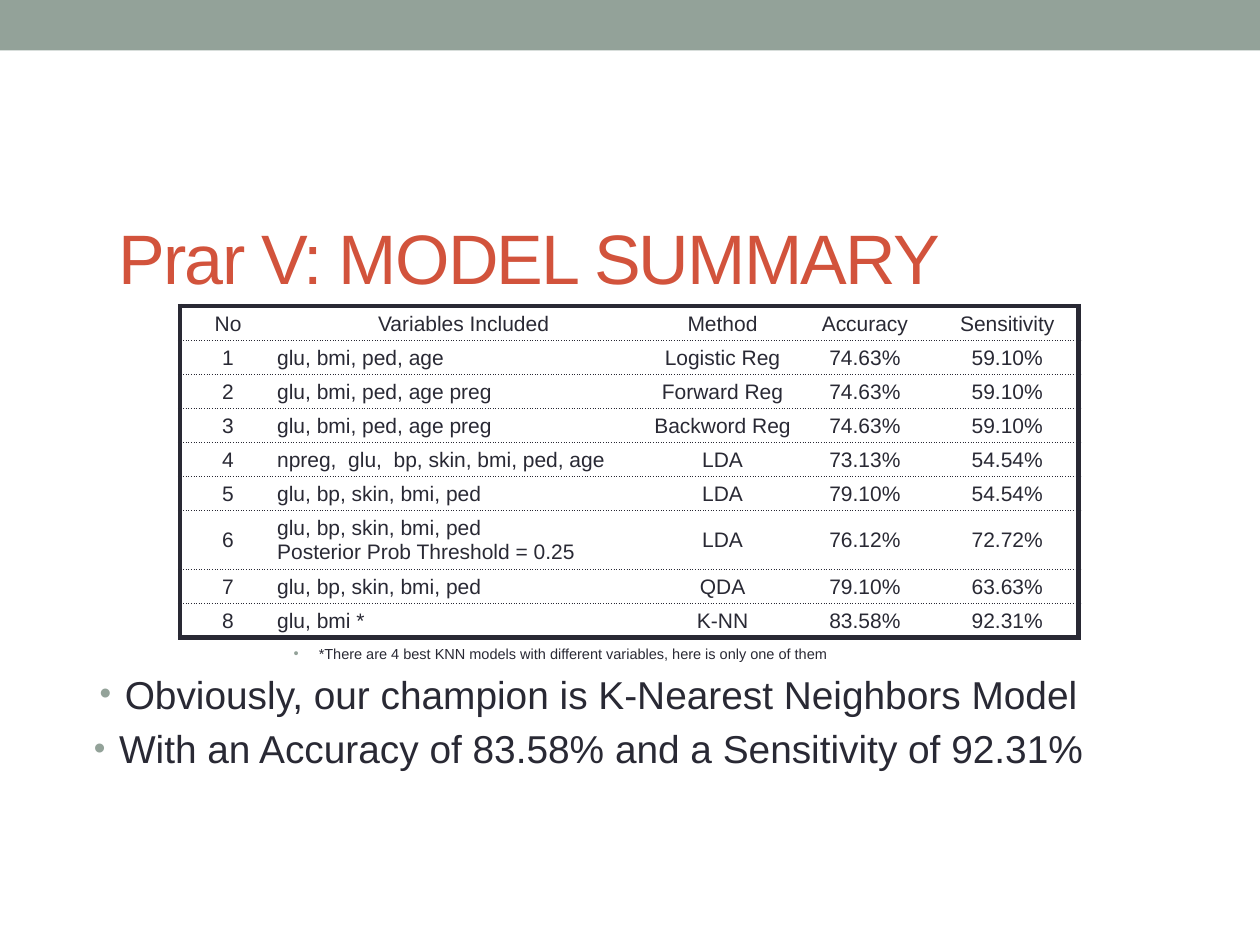
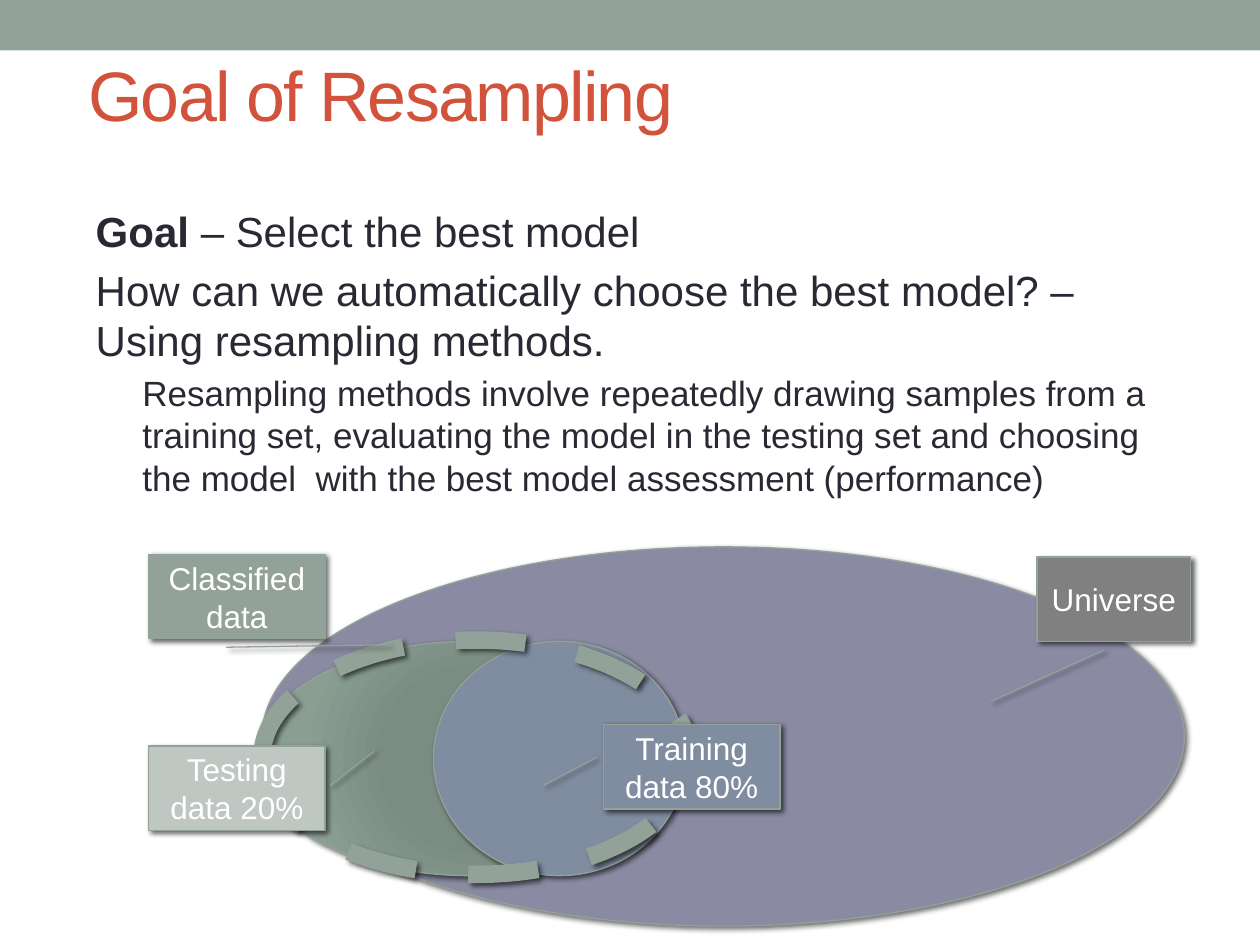
from lxml import etree
from pptx import Presentation
from pptx.dml.color import RGBColor
from pptx.enum.dml import MSO_LINE
from pptx.enum.shapes import MSO_SHAPE
from pptx.enum.text import MSO_ANCHOR, MSO_AUTO_SIZE, PP_ALIGN
from pptx.oxml import parse_xml
from pptx.oxml.ns import nsdecls, qn
from pptx.util import Emu, Pt

PX = 9144  # 100 px to the inch
SLIDE_SIZE = (1000, 750)
FONT = "Arial"

SAGE = RGBColor(0x93, 0xA2, 0x99)
PALE_SAGE = RGBColor(0xBE, 0xC7, 0xC2)
RED = RGBColor(0xD2, 0x53, 0x3C)
INK = RGBColor(0x29, 0x29, 0x34)
MAUVE = RGBColor(0x8A, 0x8A, 0xA3)
BLUE = RGBColor(0x80, 0x8D, 0xA0)
GREY = RGBColor(0x80, 0x80, 0x80)
WHITE = RGBColor(0xFF, 0xFF, 0xFF)

LEFT, CENTER = PP_ALIGN.LEFT, PP_ALIGN.CENTER
MIDDLE = MSO_ANCHOR.MIDDLE
RECTANGLE, OVAL = MSO_SHAPE.RECTANGLE, MSO_SHAPE.OVAL
CALLOUT = MSO_SHAPE.LINE_CALLOUT_1
DASH = MSO_LINE.DASH
NO_TABLE_STYLE = "{2D5ABB26-0587-4C30-8999-92F81FD0307C}"

MODELS = [
    ("No", "Variables Included", "Method", "Accuracy", "Sensitivity"),
    ("1", "glu, bmi, ped, age", "Logistic Reg", "74.63%", "59.10%"),
    ("2", "glu, bmi, ped, age preg", "Forward Reg", "74.63%", "59.10%"),
    ("3", "glu, bmi, ped, age preg", "Backword Reg", "74.63%", "59.10%"),
    ("4", "npreg,  glu,  bp, skin, bmi, ped, age", "LDA", "73.13%", "54.54%"),
    ("5", "glu, bp, skin, bmi, ped", "LDA", "79.10%", "54.54%"),
    ("6", "glu, bp, skin, bmi, ped\vPosterior Prob Threshold = 0.25",
     "LDA", "76.12%", "72.72%"),
    ("7", "glu, bp, skin, bmi, ped", "QDA", "79.10%", "63.63%"),
    ("8", "glu, bmi *", "K-NN", "83.58%", "92.31%"),
]
COLUMN_WIDTHS = (76, 298, 113, 113, 113)
ROW_HEIGHT, TALL_ROW_HEIGHT = 27, 47

# Runs are (text, bold); indents are (left margin, first line) in px
CONCLUSIONS = [
    dict(runs=[("*There are 4 best KNN models with different variables, "
                "here is only one of them", False)],
         size=8.3, level=7, indent=(190, -20), bullet=100),
    dict(runs=[("Obviously, our champion is K-Nearest Neighbors Model", False)],
         size=22.2, indent=(20, -20), bullet=85, align=CENTER),
    dict(runs=[("With an Accuracy of 83.58% and a Sensitivity of 92.31%", False)],
         size=22.2, indent=(20, -20), bullet=85, align=CENTER),
]
GOALS = [
    dict(runs=[("Goal ", True), ("– Select the best model", False)], size=24),
    dict(runs=[("How can we automatically choose the best model? – "
                "Using resampling methods.", False)], size=24),
    dict(runs=[("Resampling methods involve repeatedly drawing samples from a "
                "training set, evaluating the model in the testing set and "
                "choosing the model  with the best model assessment "
                "(performance)", False)],
         size=20, level=1, indent=(37, 0)),
]

CLASSIFIED_STOPS = [(0, "7B8E82"), (34, "7B8D83"), (70, "8A9E92"), (100, "93A299")]
# box, fill (a colour, gradient stops or None), line width, dash
SETS = [
    ((208, 434, 732, 301), MAUVE, 0.75, None),
    ((203, 509, 340, 186), CLASSIFIED_STOPS, 0.75, None),
    ((344, 509, 200, 186), BLUE, 0.75, None),
    ((208, 508, 340, 186), None, 10, DASH),
]
# text, box, fill, pointer ends as (y, x, y, x) shares of the box
LABELS = [
    ("Universe", (823, 442, 122, 67), GREY, (1.1, 0.44, 1.71, -0.3)),
    ("Classified data", (118, 440, 140, 67), SAGE, (1.1, 0.44, 1.07, 1.37)),
    ("Training data 80%", (479, 575, 140, 67), BLUE, (0.39, -0.04, 0.72, -0.34)),
    ("Testing data 20%", (118, 592, 140, 67), PALE_SAGE, (0.47, 1.03, 0.06, 1.28)),
]


def px(*lengths):
    return [Emu(length * PX) for length in lengths]


def set_font(paragraph, size, color):
    font = paragraph.font
    font.name, font.size, font.color.rgb = FONT, Pt(size), color


def place(shape, box):
    shape.left, shape.top, shape.width, shape.height = px(*box)


def add_band_to_master(presentation, slide):
    """Draw the top band and move it behind everything on the master."""
    band = slide.shapes.add_shape(RECTANGLE, *px(0, 0, SLIDE_SIZE[0], 40))
    band.shadow.inherit = False
    band.fill.solid()
    band.fill.fore_color.rgb = SAGE
    band.line.fill.background()
    presentation.slide_master.shapes.element.insert(2, band.element)


def set_title(slide, text, box):
    title = slide.shapes.title
    place(title, box)
    frame = title.text_frame
    frame.text = text
    frame.auto_size = MSO_AUTO_SIZE.NONE
    frame.vertical_anchor = MIDDLE
    paragraph = frame.paragraphs[0]
    paragraph.alignment = LEFT
    set_font(paragraph, 40, RED)
    paragraph.runs[0].font._element.set("spc", "-100")


def set_bullet(paragraph, indent, percent):
    properties = paragraph._p.get_or_add_pPr()
    properties.set("marL", str(indent[0] * PX))
    properties.set("indent", str(indent[1] * PX))
    if not percent:
        etree.SubElement(properties, qn("a:buNone"))
        return
    color = etree.SubElement(properties, qn("a:buClr"))
    etree.SubElement(color, qn("a:srgbClr"), val=str(SAGE))
    etree.SubElement(properties, qn("a:buSzPct"), val=str(percent * 1000))
    etree.SubElement(properties, qn("a:buChar"), char="•")


def set_body(slide, items, box):
    body = slide.placeholders[1]
    place(body, box)
    frame = body.text_frame
    frame.auto_size = MSO_AUTO_SIZE.NONE
    for index, item in enumerate(items):
        paragraph = frame.add_paragraph() if index else frame.paragraphs[0]
        for text, bold in item["runs"]:
            run = paragraph.add_run()
            run.text = text
            if bold:
                run.font.bold = True
        paragraph.level = item.get("level", 0)
        paragraph.alignment = item.get("align", LEFT)
        set_bullet(paragraph, item.get("indent", (0, 0)), item.get("bullet"))
        paragraph.space_before = Pt(round(0.2 * item["size"], 1) if index else 0)
        set_font(paragraph, item["size"], INK)


def set_borders(cell, row, column):
    """Thick frame around the table, dotted rules between its rows."""
    last_row, last_column = len(MODELS) - 1, len(COLUMN_WIDTHS) - 1
    thick, dotted = (3, "solid"), (0.5, "sysDot")
    borders = {
        "lnL": thick if column == 0 else None,
        "lnR": thick if column == last_column else None,
        "lnT": thick if row == 0 else dotted,
        "lnB": thick if row == last_row else dotted,
    }
    drawn = [(tag, style) for tag, style in borders.items() if style]
    for index, (tag, (width, dash)) in enumerate(drawn):
        cell._tc.get_or_add_tcPr().insert(index, parse_xml(
            f'<a:{tag} {nsdecls("a")} w="{Pt(width)}"><a:solidFill>'
            f'<a:srgbClr val="{INK}"/></a:solidFill>'
            f'<a:prstDash val="{dash}"/></a:{tag}>'))


def add_model_table(slide, left, top):
    heights = [TALL_ROW_HEIGHT if "\v" in row[1] else ROW_HEIGHT for row in MODELS]
    frame = slide.shapes.add_table(
        len(MODELS), len(COLUMN_WIDTHS),
        *px(left, top, sum(COLUMN_WIDTHS), sum(heights)))
    frame.element.find(".//" + qn("a:tableStyleId")).text = NO_TABLE_STYLE
    table = frame.table
    table.first_row = table.horz_banding = False
    for column, width in zip(table.columns, px(*COLUMN_WIDTHS)):
        column.width = width
    for row, height in zip(table.rows, px(*heights)):
        row.height = height
    for r, values in enumerate(MODELS):
        for c, value in enumerate(values):
            cell = table.cell(r, c)
            cell.text = value
            cell.vertical_anchor = MIDDLE
            cell.margin_left, cell.margin_right, cell.margin_top = px(1, 1, 1)
            cell.margin_bottom = 0
            cell.fill.background()
            set_borders(cell, r, c)
            paragraph = cell.text_frame.paragraphs[0]
            paragraph.alignment = LEFT if c == 1 and r else CENTER
            set_font(paragraph, 12, INK)


def add_shadow(shape):
    shape.shadow.inherit = False
    effects = shape.element.spPr.find(qn("a:effectLst"))
    effects.append(parse_xml(
        f'<a:outerShdw {nsdecls("a")} blurRad="{Pt(3)}" dist="{Pt(2)}" '
        'dir="2700000" algn="br" rotWithShape="0"><a:srgbClr val="000000">'
        '<a:alpha val="60000"/></a:srgbClr></a:outerShdw>'))


def fill_radial(shape, stops):
    shape.fill.background()
    properties = shape.element.spPr
    stop_list = "".join(
        f'<a:gs pos="{position * 1000}"><a:srgbClr val="{color}"/></a:gs>'
        for position, color in stops)
    properties.replace(properties.find(qn("a:noFill")), parse_xml(
        f'<a:gradFill {nsdecls("a")} rotWithShape="1"><a:gsLst>{stop_list}</a:gsLst>'
        '<a:path path="circle"><a:fillToRect l="100000" t="100000" '
        'r="100000" b="100000"/></a:path></a:gradFill>'))


def add_diagram_shape(slide, kind, box, fill, line_width=0.75):
    shape = slide.shapes.add_shape(kind, *px(*box))
    if fill is None:
        shape.fill.background()
    elif isinstance(fill, list):
        fill_radial(shape, fill)
    else:
        shape.fill.solid()
        shape.fill.fore_color.rgb = fill
    shape.line.color.rgb = SAGE
    shape.line.width = Pt(line_width)
    add_shadow(shape)
    return shape


def add_resampling_diagram(slide):
    for box, fill, line_width, dash in SETS:
        oval = add_diagram_shape(slide, OVAL, box, fill, line_width)
        if dash:
            oval.line.dash_style = dash
    for text, box, fill, pointer in LABELS:
        label = add_diagram_shape(slide, CALLOUT, box, fill)
        for index, share in enumerate(pointer):
            label.adjustments[index] = share
        frame = label.text_frame
        frame.text = text
        frame.word_wrap = True
        frame.vertical_anchor = MIDDLE
        paragraph = frame.paragraphs[0]
        paragraph.alignment = CENTER
        set_font(paragraph, 18, WHITE)


def main():
    presentation = Presentation()
    presentation.slide_width, presentation.slide_height = px(*SLIDE_SIZE)
    layout = presentation.slide_layouts[1]

    summary = presentation.slides.add_slide(layout)
    add_band_to_master(presentation, summary)
    set_title(summary, "Prar V: MODEL SUMMARY", (84, 142, 797, 123))
    add_model_table(summary, 143, 243)
    set_body(summary, CONCLUSIONS, (53, 507, 829, 116))

    resampling = presentation.slides.add_slide(layout)
    set_title(resampling, "Goal of Resampling", (60, 12, 880, 125))
    set_body(resampling, GOALS, (66, 158, 880, 282))
    add_resampling_diagram(resampling)

    presentation.save("out.pptx")


if __name__ == "__main__":
    main()
